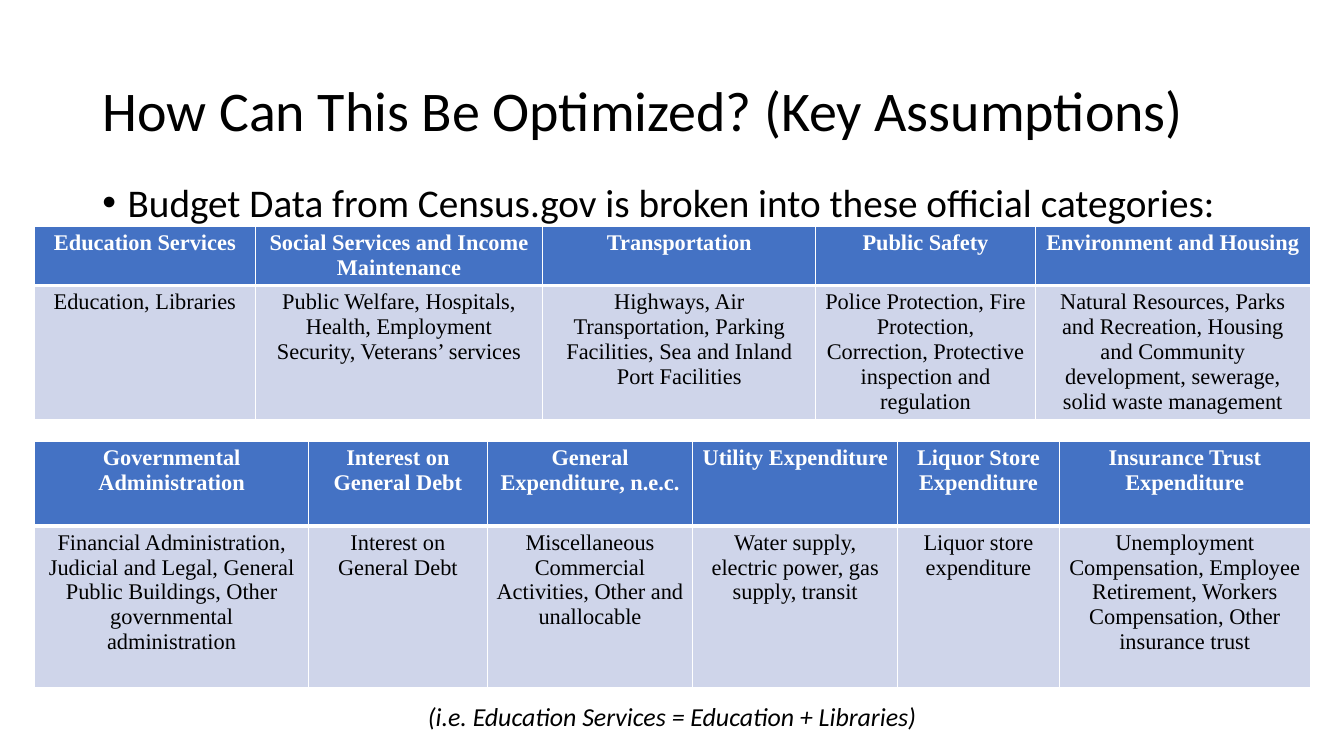
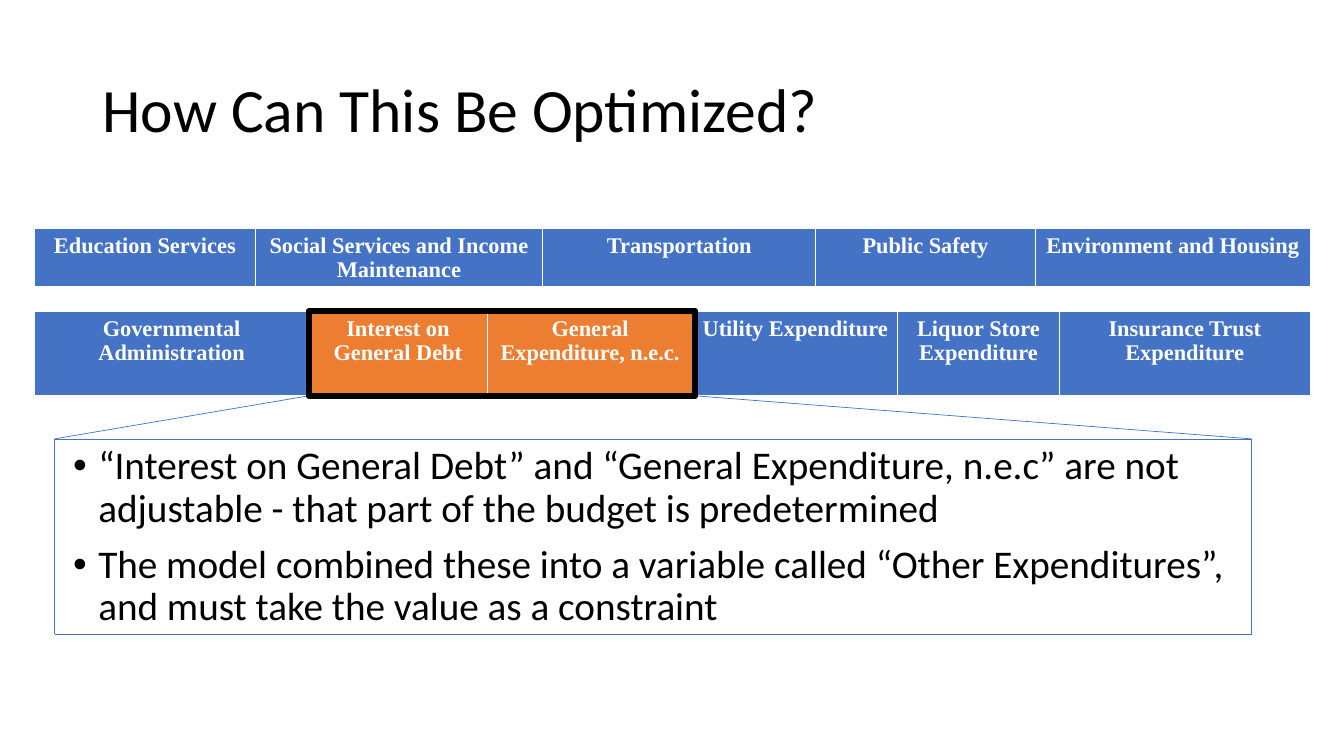
from dataclasses import dataclass
from itertools import accumulate
from typing import Any, NamedTuple

from lxml.etree import SubElement
from pptx import Presentation
from pptx.dml.color import RGBColor
from pptx.enum.shapes import MSO_CONNECTOR, MSO_SHAPE
from pptx.enum.text import MSO_ANCHOR, MSO_AUTO_SIZE, PP_ALIGN
from pptx.oxml.ns import qn
from pptx.slide import Slide, SlideLayout
from pptx.text.text import TextFrame
from pptx.util import Emu, Pt

EMU_PER_PX = 9525
BLACK = RGBColor(0x00, 0x00, 0x00)
WHITE = RGBColor(0xFF, 0xFF, 0xFF)
BLUE = RGBColor(0x44, 0x72, 0xC4)
PALE_BLUE = RGBColor(0xCF, 0xD5, 0xEA)
ORANGE = RGBColor(0xED, 0x7D, 0x31)

TABLE_LEFT = 33
PARAGRAPH = {"line_spacing": 0.9, "space_before": Pt(10)}
TITLE_PARAGRAPH = {"line_spacing": 0.9, "alignment": PP_ALIGN.LEFT}
NOTE_PARAGRAPH = PARAGRAPH | {"alignment": PP_ALIGN.CENTER}
CELL_PARAGRAPH = {"alignment": PP_ALIGN.CENTER}
BODY_FONT = {"name": "Calibri", "size": Pt(28), "bold": False}
NOTE_FONT = BODY_FONT | {"size": Pt(18.5), "italic": True}
CELL_FONT = {"name": "Times New Roman", "size": Pt(16)}


class Box(NamedTuple):
    left: int
    top: int
    width: int
    height: int

    def corners(self) -> list[tuple[int, int]]:
        right, bottom = self.left + self.width, self.top + self.height
        return [(self.left, self.top), (right, self.top),
                (right, bottom), (self.left, bottom)]


class Category(NamedTuple):
    heading: str
    members: str
    width: int
    adjustable: bool = True


@dataclass(frozen=True)
class CategoryTable:
    categories: list[Category]
    header_height: int
    members_height: int


SERVICES = CategoryTable([
    Category("Education Services", "Education, Libraries", 210),
    Category("Social Services and Income Maintenance",
             "Public Welfare, Hospitals, Health, Employment Security, Veterans’ services", 274),
    Category("Transportation",
             "Highways, Air Transportation, Parking Facilities, Sea and Inland Port Facilities", 260),
    Category("Public Safety",
             "Police Protection, Fire Protection, Correction, Protective inspection and regulation", 209),
    Category("Environment and Housing",
             "Natural Resources, Parks and Recreation, Housing and Community development, "
             "sewerage, solid waste management", 262),
], 56, 128)

ADMINISTRATION = CategoryTable([
    Category("Governmental Administration",
             "Financial Administration, Judicial and Legal, General Public Buildings, "
             "Other governmental administration", 261),
    Category("Interest on General Debt", "Interest on General Debt", 170, False),
    Category("General Expenditure, n.e.c.",
             "Miscellaneous Commercial Activities, Other and unallocable", 196, False),
    Category("Utility Expenditure", "Water supply, electric power, gas supply, transit", 195),
    Category("Liquor Store Expenditure", "Liquor store expenditure", 154),
    Category("Insurance Trust Expenditure",
             "Unemployment Compensation, Employee Retirement, Workers Compensation, "
             "Other insurance trust", 239),
], 81, 154)


def px(length: int) -> Emu:
    return Emu(length * EMU_PER_PX)


def apply(target: Any, values: dict[str, Any]) -> None:
    for attribute, value in values.items():
        setattr(target, attribute, value)


def place(shape: Any, box: Box) -> None:
    apply(shape, {side: px(length) for side, length in box._asdict().items()})


def write(frame: TextFrame, lines: list[str], paragraph_format: dict[str, Any],
          font: dict[str, Any], color: RGBColor = BLACK) -> None:
    for index, line in enumerate(lines):
        paragraph = frame.paragraphs[0] if index == 0 else frame.add_paragraph()
        apply(paragraph, paragraph_format)
        run = paragraph.add_run()
        run.text = line
        apply(run.font, font)
        run.font.color.rgb = color


def add_titled_slide(deck: Any, layout: SlideLayout, title: str, size: int) -> Slide:
    slide = deck.slides.add_slide(layout)
    frame = slide.shapes.title.text_frame
    apply(frame, {"vertical_anchor": MSO_ANCHOR.MIDDLE, "auto_size": MSO_AUTO_SIZE.NONE})
    write(frame, [title], TITLE_PARAGRAPH, BODY_FONT | {"size": Pt(size)})
    return slide


def fill_body(slide: Slide, box: Box, points: list[str]) -> None:
    body = slide.placeholders[1]
    place(body, box)
    body.text_frame.auto_size = MSO_AUTO_SIZE.NONE
    write(body.text_frame, points, PARAGRAPH, BODY_FONT)
    for paragraph in body.text_frame.paragraphs:
        properties = paragraph._p.get_or_add_pPr()
        properties.set("marL", str(px(24)))
        properties.set("indent", str(px(-24)))
        SubElement(properties, qn("a:buFont"), typeface="Arial")
        SubElement(properties, qn("a:buChar"), char="•")


def border_cell(cell: Any, top: int, bottom: int) -> None:
    properties = cell._tc.get_or_add_tcPr()
    for side, points in {"lnL": 1, "lnR": 1, "lnT": top, "lnB": bottom}.items():
        edge = SubElement(properties, qn(f"a:{side}"), w=str(Pt(points)))
        SubElement(SubElement(edge, qn("a:solidFill")), qn("a:srgbClr"), val=str(WHITE))


def add_categories(slide: Slide, source: CategoryTable, top: int,
                   with_members: bool, mark_fixed: bool = False) -> None:
    heights = [source.header_height] + [source.members_height] * with_members
    widths = [category.width for category in source.categories]
    box = Box(TABLE_LEFT, top, sum(widths), sum(heights))
    table = slide.shapes.add_table(len(heights), len(widths), *map(px, box)).table
    table.horz_banding = False
    for row, height in zip(table.rows, heights):
        row.height = px(height)
    for index, category in enumerate(source.categories):
        table.columns[index].width = px(category.width)
        fixed = mark_fixed and not category.adjustable
        styles = [(category.heading, ORANGE if fixed else BLUE, WHITE, True, 1, 3),
                  (category.members, PALE_BLUE, BLACK, False, 3, 1)]
        for row_index, (text, fill, color, bold, above, below) in enumerate(styles[:len(heights)]):
            cell = table.cell(row_index, index)
            apply(cell, {"margin_left": px(9), "margin_right": px(9),
                         "margin_top": px(4), "margin_bottom": px(4)})
            border_cell(cell, above, below)
            cell.fill.solid()
            cell.fill.fore_color.rgb = fill
            write(cell.text_frame, [text], CELL_PARAGRAPH, CELL_FONT | {"bold": bold}, color)


def add_line(slide: Slide, start: tuple[int, int], end: tuple[int, int]) -> None:
    line = slide.shapes.add_connector(MSO_CONNECTOR.STRAIGHT, *map(px, start + end))
    line.line.color.rgb = BLUE
    line.line.width = Pt(0.5)
    SubElement(line.element.spPr, qn("a:effectLst"))


def add_callout(slide: Slide, focus: Box, detail: Box) -> None:
    corners = detail.corners()
    focus_corners = focus.corners()
    edges = list(zip(corners, corners[1:] + corners[:1]))
    rays = [(focus_corners[3], corners[0]), (focus_corners[2], corners[1])]
    for start, end in rays + edges:
        add_line(slide, start, end)
    frame = slide.shapes.add_shape(MSO_SHAPE.RECTANGLE, *map(px, focus))
    frame.shadow.inherit = False
    frame.fill.background()
    frame.line.color.rgb = BLACK
    frame.line.width = Pt(4.5)


def add_note(slide: Slide, box: Box, text: str) -> None:
    note = slide.shapes.add_textbox(*map(px, box)).text_frame
    note.word_wrap = True
    write(note, [text], NOTE_PARAGRAPH, NOTE_FONT)


def build_assumptions(deck: Any, layout: SlideLayout) -> None:
    slide = add_titled_slide(deck, layout, "How Can This Be Optimized? (Key Assumptions)", 40)
    fill_body(slide, Box(88, 170, 1104, 54),
              ["Budget Data from Census.gov is broken into these official categories:"])
    add_categories(slide, SERVICES, 216, with_members=True)
    add_note(slide, Box(386, 666, 508, 54), "(i.e. Education Services = Education + Libraries)")
    add_categories(slide, ADMINISTRATION, 420, with_members=True)


def build_constraint(deck: Any, layout: SlideLayout) -> None:
    slide = add_titled_slide(deck, layout, "How Can This Be Optimized?", 44)
    fill_body(slide, Box(60, 420, 1160, 277), [
        "“Interest on General Debt” and “General Expenditure, n.e.c” are not adjustable"
        " - that part of the budget is predetermined",
        "The model combined these into a variable called “Other Expenditures”, "
        "and must take the value as a constraint",
    ])
    add_categories(slide, SERVICES, 218, with_members=False)
    add_categories(slide, ADMINISTRATION, 297, with_members=False, mark_fixed=True)
    fixed = [index for index, category in enumerate(ADMINISTRATION.categories)
             if not category.adjustable]
    edges = list(accumulate((category.width for category in ADMINISTRATION.categories),
                            initial=TABLE_LEFT))
    left, right = edges[fixed[0]], edges[fixed[-1] + 1]
    add_callout(slide, Box(left, 296, right - left + 2, 81), Box(52, 418, 1140, 186))


def main() -> None:
    deck = Presentation()
    apply(deck, {"slide_width": px(1280), "slide_height": px(720)})
    layout = deck.slide_layouts[1]
    place(layout.placeholders[0], Box(88, 38, 1104, 139))
    build_assumptions(deck, layout)
    build_constraint(deck, layout)
    deck.save("out.pptx")


if __name__ == "__main__":
    main()
